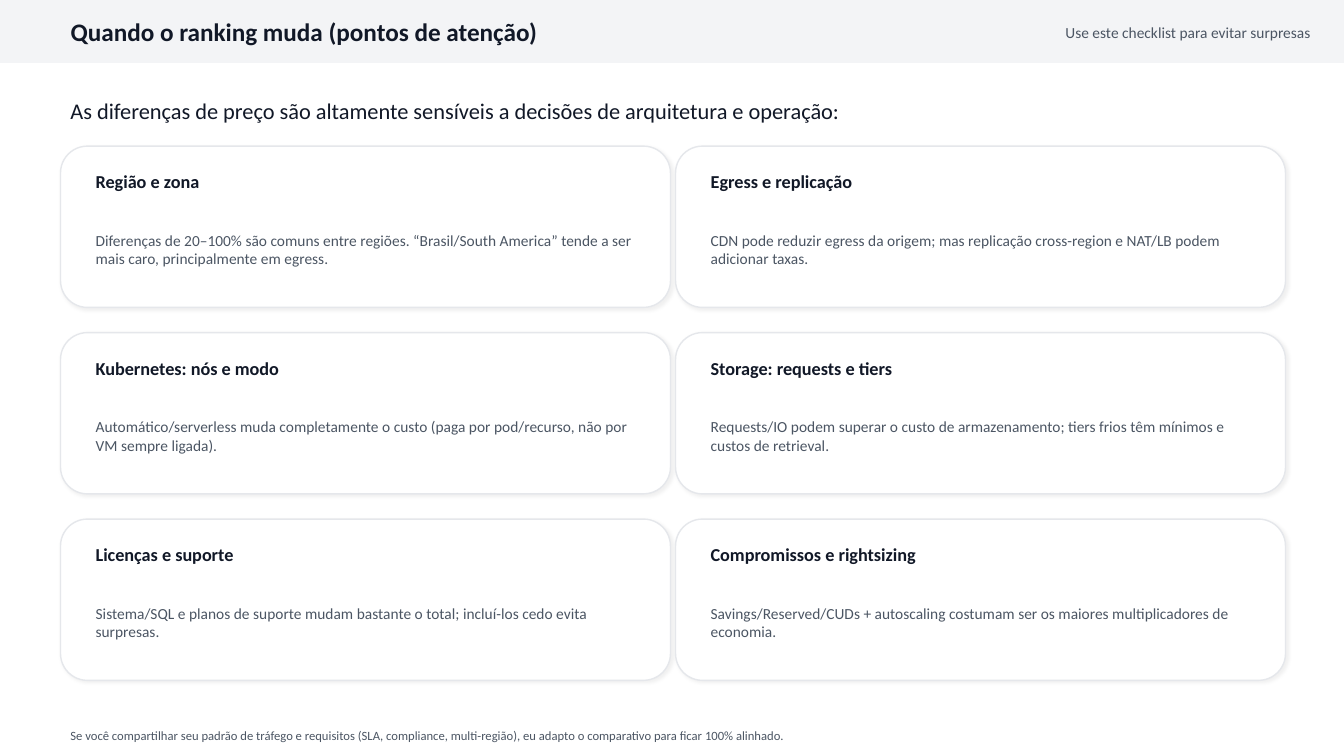
import dataclasses

import lxml.etree
import pptx
import pptx.dml.color
import pptx.enum.shapes
import pptx.enum.text
import pptx.oxml.ns
import pptx.util

Inches = pptx.util.Inches
Pt = pptx.util.Pt
Shape = pptx.enum.shapes.MSO_SHAPE
Align = pptx.enum.text.PP_ALIGN


@dataclasses.dataclass(frozen=True)
class Theme:
    font: str = "Calibri"
    ink: str = "111827"
    muted: str = "4B5563"
    band: str = "F3F4F6"
    card: str = "FFFFFF"
    edge: str = "E5E7EB"
    shade: str = "000000"
    title: int = 18
    lead: int = 16
    head: int = 13
    body: int = 11
    foot: int = 9


THEME = Theme()

CARDS = [
    ("Região e zona",
     "Diferenças de 20–100% são comuns entre regiões. “Brasil/South America” "
     "tende a ser mais caro, principalmente em egress."),
    ("Egress e replicação",
     "CDN pode reduzir egress da origem; mas replicação cross-region e NAT/LB "
     "podem adicionar taxas."),
    ("Kubernetes: nós e modo",
     "Automático/serverless muda completamente o custo (paga por pod/recurso, "
     "não por VM sempre ligada)."),
    ("Storage: requests e tiers",
     "Requests/IO podem superar o custo de armazenamento; tiers frios têm "
     "mínimos e custos de retrieval."),
    ("Licenças e suporte",
     "Sistema/SQL e planos de suporte mudam bastante o total; incluí-los cedo "
     "evita surpresas."),
    ("Compromissos e rightsizing",
     "Savings/Reserved/CUDs + autoscaling costumam ser os maiores "
     "multiplicadores de economia."),
]


def rgb(code):
    return pptx.dml.color.RGBColor.from_string(code)


def write(shape, text, size=THEME.body, color=THEME.muted, bold=False,
          align=Align.LEFT):
    frame = shape.text_frame
    frame.word_wrap = True
    frame.auto_size = pptx.enum.text.MSO_AUTO_SIZE.NONE
    frame.vertical_anchor = pptx.enum.text.MSO_ANCHOR.MIDDLE
    frame.text = text
    line = frame.paragraphs[0]
    line.alignment = align
    font = line.runs[0].font
    font.name = THEME.font
    font.size = Pt(size)
    font.bold = bold
    font.color.rgb = rgb(color)


def label(slide, text, x, y, w, h, **style):
    box = slide.shapes.add_textbox(Inches(x), Inches(y), Inches(w), Inches(h))
    write(box, text, **style)


def panel(slide, kind, x, y, w, h, fill, edge):
    shape = slide.shapes.add_shape(kind, Inches(x), Inches(y), Inches(w),
                                   Inches(h))
    shape.shadow.inherit = False
    shape.fill.solid()
    shape.fill.fore_color.rgb = rgb(fill)
    shape.line.color.rgb = rgb(edge)
    shape.line.width = Pt(1)
    return shape


def shade(shape):
    """Give the shape a faint shadow, down and to the right."""
    qn = pptx.oxml.ns.qn
    effects = shape.element.spPr.find(qn("a:effectLst"))
    outer = lxml.etree.SubElement(
        effects, qn("a:outerShdw"), blurRad=str(Pt(2.5)), dist=str(Pt(1.5)),
        dir=str(45 * 60000), algn="bl", rotWithShape="0")
    color = lxml.etree.SubElement(outer, qn("a:srgbClr"), val=THEME.shade)
    lxml.etree.SubElement(color, qn("a:alpha"), val="6000")


def header(slide, text, hint):
    title = slide.shapes.title
    title.left, title.top = Inches(0.6), Inches(0.14)
    title.width, title.height = Inches(9.6), Inches(0.34)
    write(title, text, size=THEME.title, color=THEME.ink, bold=True)
    band = panel(slide, Shape.RECTANGLE, 0, 0, 13.33, 0.62, THEME.band,
                 THEME.band)
    title.element.addprevious(band.element)
    label(slide, hint, 10.2, 0.18, 2.9, 0.28, align=Align.RIGHT)


def card(slide, x, y, head, body):
    shade(panel(slide, Shape.ROUNDED_RECTANGLE, x, y, 6.05, 1.6, THEME.card,
                THEME.edge))
    label(slide, head, x + 0.25, y + 0.2, 5.55, 0.3, size=THEME.head,
          color=THEME.ink, bold=True)
    label(slide, body, x + 0.25, y + 0.55, 5.55, 0.95)


def main():
    deck = pptx.Presentation()
    deck.slide_width, deck.slide_height = Inches(13.33), Inches(7.5)
    slide = deck.slides.add_slide(deck.slide_layouts.get_by_name("Title Only"))
    header(slide, "Quando o ranking muda (pontos de atenção)",
           "Use este checklist para evitar surpresas")
    label(slide, "As diferenças de preço são altamente sensíveis a decisões "
          "de arquitetura e operação:", 0.6, 0.85, 12.2, 0.5,
          size=THEME.lead, color=THEME.ink)
    for i, (head, body) in enumerate(CARDS):
        row, col = divmod(i, 2)
        card(slide, 0.6 + col * 6.1, 1.45 + row * 1.85, head, body)
    label(slide, "Se você compartilhar seu padrão de tráfego e requisitos "
          "(SLA, compliance, multi-região), eu adapto o comparativo para "
          "ficar 100% alinhado.", 0.6, 7.16, 12.2, 0.28, size=THEME.foot)
    deck.save("out.pptx")


if __name__ == "__main__":
    main()
